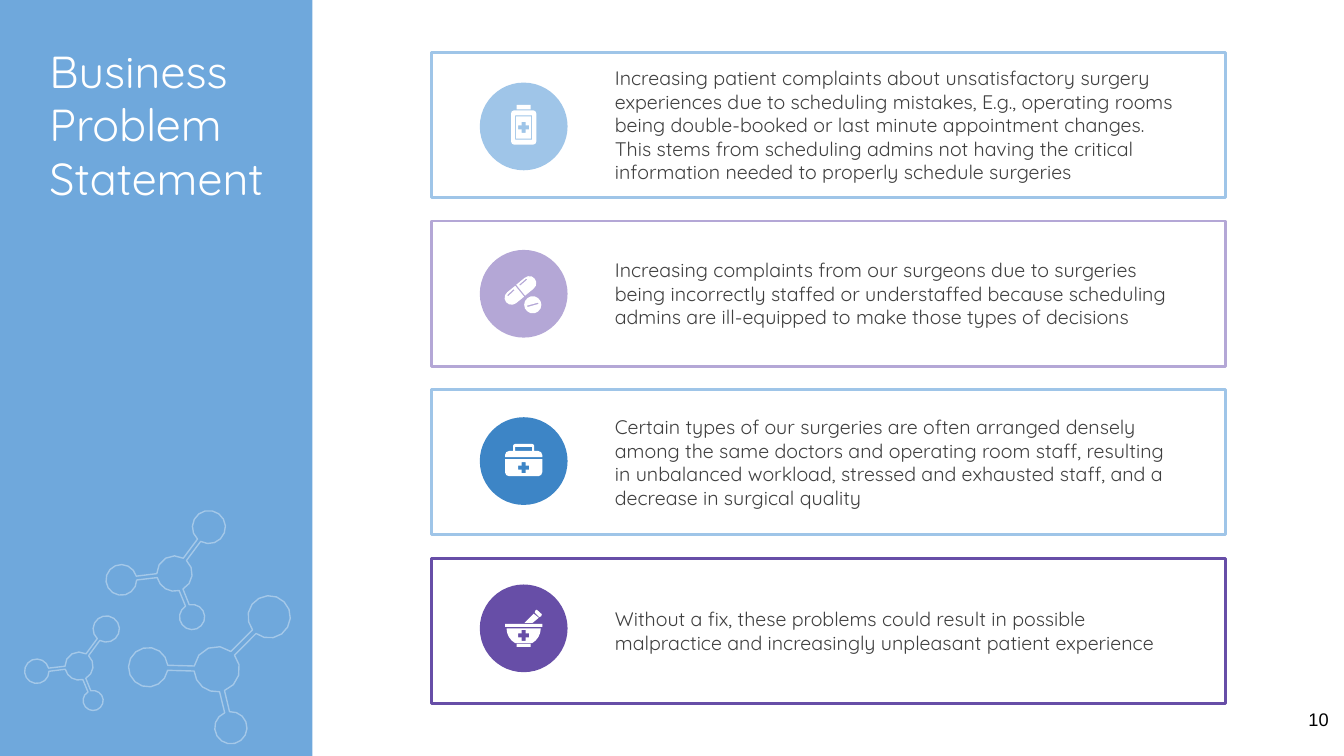
import math
from dataclasses import dataclass

import lxml.etree
import pptx
import pptx.dml.color
import pptx.enum.shapes
import pptx.enum.text
import pptx.oxml.ns
import pptx.util


@dataclass(frozen=True)
class Theme:
    sidebar: str = "6FA8DC"
    white: str = "FFFFFF"
    ink: str = "3F3F3F"
    black: str = "000000"
    sky: str = "9FC5E8"
    lilac: str = "B4A7D6"
    blue: str = "3D85C6"
    violet: str = "674EA7"
    font: str = "Quicksand"
    number_font: str = "Arial"
    title_size: int = 32
    body_size: int = 14
    number_size: int = 13
    molecule_opacity: int = 36


THEME = Theme()
SLIDE_WIDTH = pptx.util.Inches(13.33)
SLIDE_HEIGHT = pptx.util.Inches(7.5)
COLUMN = SLIDE_WIDTH / 100
ROW = SLIDE_HEIGHT / 100
HUNDREDTH_INCH = 9144
CARD_TOP, CARD_HEIGHT, CARD_PITCH = 6.93, 19.2, 22.31
BADGE_TOP, BADGE_HEIGHT, BADGE_PITCH = 10.93, 11.6, 22.13
BADGE_LEFT, BADGE_WIDTH = 35.7, 6.53

HUB_RADIUS = 22.5
BOND_HALF_WIDTH = 2.5
ATOMS = [(52, -52, 21), (14, 58, 16), (-68, -2, 19.5)]
MOLECULES = [(16.13, 88.53, 1, 0), (12.98, 75.87, 0.78, -8.5), (5.88, 88.1, 0.62, -8.7)]


def grid(left, top, width, height):
    return [round(value * step) for value, step in zip((left, top, width, height), (COLUMN, ROW) * 2)]


def color(value):
    return pptx.dml.color.RGBColor.from_string(value)


def apply_format(target, values):
    for name, value in values.items():
        setattr(target, name, value)


def style(shape, fill=None, line=None, line_width=2):
    shape.shadow.inherit = False
    if fill:
        shape.fill.solid()
        shape.fill.fore_color.rgb = color(fill)
    else:
        shape.fill.background()
    if line:
        shape.line.color.rgb = color(line)
        shape.line.width = pptx.util.Pt(line_width)
    else:
        shape.line.fill.background()


def add_preset(slide, kind, box, **look):
    shape = slide.shapes.add_shape(kind, *grid(*box))
    style(shape, **look)


def write_text(shape, text, insets, size, ink, font=THEME.font, anchor="TOP", align="LEFT"):
    frame = shape.text_frame
    sides = ("margin_left", "margin_top", "margin_right", "margin_bottom")
    apply_format(frame, {
        "text": text,
        "word_wrap": True,
        "auto_size": pptx.enum.text.MSO_AUTO_SIZE.NONE,
        "vertical_anchor": pptx.enum.text.MSO_ANCHOR[anchor],
        **{side: pptx.util.Inches(inset) for side, inset in zip(sides, insets)},
    })
    paragraph = frame.paragraphs[0]
    paragraph.alignment = pptx.enum.text.PP_ALIGN[align]
    run_font = paragraph.runs[0].font
    apply_format(run_font, {"name": font, "size": pptx.util.Pt(size), "bold": False})
    run_font.color.rgb = color(ink)


def add_text(slide, box, *content, **look):
    write_text(slide.shapes.add_textbox(*grid(*box)), *content, **look)


def add_title(slide, text):
    title = slide.shapes.title
    title.element.getparent().append(title.element)
    apply_format(title, dict(zip(("left", "top", "width", "height"), grid(3.08, 5.73, 25.13, 21.6))))
    write_text(title, text, (0.08, 0, 0.04, 0), THEME.title_size, THEME.white)


def add_outline(slide, column, row, contours, **look):
    scaled = [[(x * 10, y * 10) for x, y in contour] for contour in contours]
    builder = slide.shapes.build_freeform(*scaled[0][0], scale=HUNDREDTH_INCH / 10)
    for index, contour in enumerate(scaled):
        if index:
            builder.move_to(*contour[0])
        builder.add_line_segments(contour[1:], close=True)
    shape = builder.convert_to_shape(round(column * COLUMN), round(row * ROW))
    style(shape, **look)
    return shape


def arc(x, y, radius, start, end, steps=4):
    angles = [start + (end - start) * step / steps for step in range(steps + 1)]
    return [(x + radius * math.cos(angle), y + radius * math.sin(angle)) for angle in angles]


def corner(x, y, radius, quarter):
    if not radius:
        return [(x, y)]
    return arc(x, y, radius, quarter * math.pi / 2, (quarter + 1) * math.pi / 2, 2)


def block(left, top, right, bottom, upper=0, lower=0):
    centers = [(right - lower, bottom - lower, lower), (left + lower, bottom - lower, lower),
               (left + upper, top + upper, upper), (right - upper, top + upper, upper)]
    return [point for quarter, center in enumerate(centers) for point in corner(*center, quarter)]


def cross(y, arm=5.5, half=2):
    return [(-half, y - arm), (half, y - arm), (half, y - half), (arm, y - half),
            (arm, y + half), (half, y + half), (half, y + arm), (-half, y + arm),
            (-half, y + half), (-arm, y + half), (-arm, y - half), (-half, y - half)]


def bar(start, end, half, start_steps=1, end_steps=1):
    angle = math.atan2(end[1] - start[1], end[0] - start[0])
    quarter = math.pi / 2
    return (arc(*end, half, angle - quarter, angle + quarter, end_steps) +
            arc(*start, half, angle + quarter, angle + 3 * quarter, start_steps))


def bottle_icon():
    return [block(-12.5, -16, 12.5, 18, 3, 3), block(-8.5, -11, 8.5, 13),
            block(-7.5, -10, 7.5, 12), cross(1), block(-7, -21.5, 7, -17)]


def pills_icon():
    return [bar((-4, -2.5), (-12, 4), 7, end_steps=6), bar((-3, -3.5), (5.5, -10.5), 7, end_steps=6),
            bar((-16, 2), (-9.5, -4), 0.7), bar((-4, -8.5), (3, -14.5), 0.7),
            arc(9, 11, 8.5, 0, 2 * math.pi, 14), bar((3.5, 12.5), (14.5, 9.5), 0.7)]


def kit_icon():
    return [block(-18.5, -2, 18.5, 15, lower=4), cross(6.5), block(-18.5, -10, 18.5, -4, 4),
            block(-10.5, -17, 10.5, -10, 2), block(-8.5, -14, 8.5, -10)]


def mortar_icon():
    return [block(-7, 15.5, 7, 18.5),
            arc(0, 0, 17, 0, math.pi / 3) + arc(0, 0, 17, 2 * math.pi / 3, math.pi),
            cross(7), block(-18.5, -4.5, 18.5, -1.5),
            [(10, -14.5), (15, -10.5), (9, -5.5), (1, -5.5)],
            [(13, -18.5), (18, -14), (17.5, -12), (15.5, -11), (11, -15.5), (11.5, -17.5)]]


def molecule_contour(scale, degrees):
    turn = math.radians(degrees)
    bonds = sorted((math.atan2(y, x) + turn, math.hypot(x, y), radius) for x, y, radius in ATOMS)
    hub_gap = math.asin(BOND_HALF_WIDTH / HUB_RADIUS)
    previous = bonds[-1][0] - 2 * math.pi
    points = []
    for angle, reach, radius in bonds:
        gap = math.asin(BOND_HALF_WIDTH / radius)
        points += arc(0, 0, HUB_RADIUS, previous + hub_gap, angle - hub_gap)
        points += arc(reach * math.cos(angle), reach * math.sin(angle), radius,
                      angle + math.pi + gap, angle + 3 * math.pi - gap, 14)
        previous = angle
    return [(x * scale, y * scale) for x, y in points]


def add_molecule(slide, column, row, scale, degrees):
    shape = add_outline(slide, column, row, [molecule_contour(scale, degrees)],
                        line=THEME.white, line_width=1)
    tint = shape.element.xpath(".//a:ln//a:srgbClr")[0]
    alpha = lxml.etree.SubElement(tint, pptx.oxml.ns.qn("a:alpha"))
    alpha.set("val", str(THEME.molecule_opacity * 1000))


def add_card(slide, index, border, badge, icon, text):
    kinds = pptx.enum.shapes.MSO_SHAPE
    top = CARD_TOP + index * CARD_PITCH
    badge_top = BADGE_TOP + index * BADGE_PITCH
    add_preset(slide, kinds.RECTANGLE, (32.1, top, 59.1, CARD_HEIGHT), line=border)
    add_preset(slide, kinds.OVAL, (BADGE_LEFT, badge_top, BADGE_WIDTH, BADGE_HEIGHT), fill=badge)
    add_outline(slide, BADGE_LEFT + BADGE_WIDTH / 2, badge_top + BADGE_HEIGHT / 2, icon, fill=THEME.white)
    add_text(slide, (45.15, top, 43.2, CARD_HEIGHT), text, (0.08, 0.05, 0.12, 0.05),
             THEME.body_size, THEME.ink, anchor="MIDDLE")


def main():
    presentation = pptx.Presentation()
    apply_format(presentation, {"slide_width": SLIDE_WIDTH, "slide_height": SLIDE_HEIGHT})
    slide = presentation.slides.add_slide(presentation.slide_layouts.get_by_name("Title Only"))
    add_preset(slide, pptx.enum.shapes.MSO_SHAPE.RECTANGLE, (0, 0, 23.25, 100), fill=THEME.sidebar)
    for molecule in MOLECULES:
        add_molecule(slide, *molecule)
    add_title(slide, "Business Problem Statement")
    cards = [
        (THEME.sky, THEME.sky, bottle_icon(), "Increasing patient complaints about unsatisfactory surgery experiences due to scheduling mistakes, E.g., operating rooms being double-booked or last minute appointment changes. This stems from scheduling admins not having the critical information needed to properly schedule surgeries"),
        (THEME.lilac, THEME.lilac, pills_icon(), "Increasing complaints from our surgeons due to surgeries being incorrectly staffed or understaffed because scheduling admins are ill-equipped to make those types of decisions"),
        (THEME.sky, THEME.blue, kit_icon(), "Certain types of our surgeries are often arranged densely among the same doctors and operating room staff, resulting in unbalanced workload, stressed and exhausted staff, and a decrease in surgical quality"),
        (THEME.violet, THEME.violet, mortar_icon(), "Without a fix, these problems could result in possible malpractice and increasingly unpleasant patient experience"),
    ]
    for index, card in enumerate(cards):
        add_card(slide, index, *card)
    add_text(slide, (93.6, 92.4, 6, 7.6), "10", (0.1, 0.1, 0.1, 0.1), THEME.number_size,
             THEME.black, font=THEME.number_font, align="RIGHT")
    presentation.save("out.pptx")


if __name__ == "__main__":
    main()
